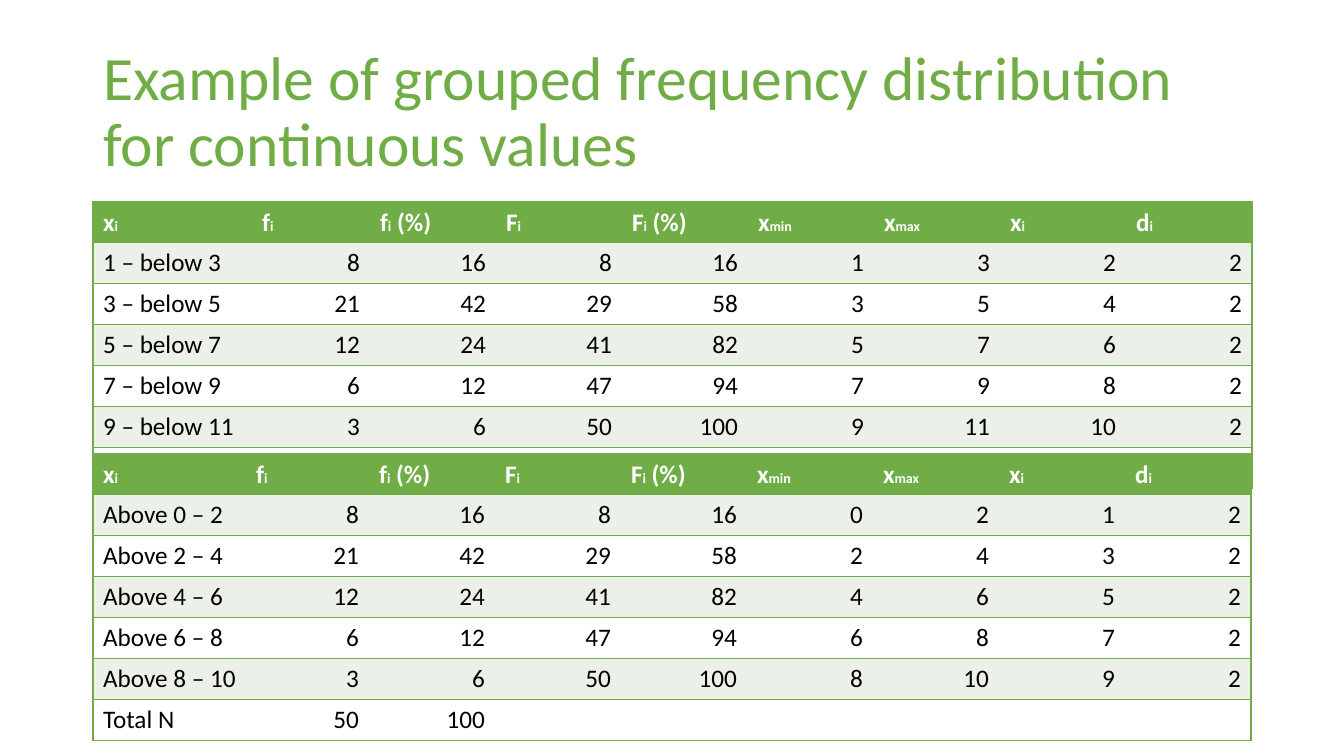
from itertools import accumulate

from lxml import etree
from pptx import Presentation
from pptx import util as u
from pptx.dml.color import RGBColor
from pptx.enum import text
from pptx.oxml.ns import qn

PX = 914400 / 100.8
GREEN, PALE, WHITE, BLACK = "70AD47", "EBF1E9", "FFFFFF", "000000"


def px(length):
    return u.Emu(round(length * PX))


def paint(color, hex_value):
    color.rgb = RGBColor.from_string(hex_value)


deck = Presentation()
deck.slide_width, deck.slide_height = px(1344), px(756)
slide = deck.slides.add_slide(deck.slide_layouts[5])

# Title
title = slide.shapes.title
title.left, title.top, title.width, title.height = px(93), px(40), px(1159), px(147)
title.text_frame.text = "Example of grouped frequency distribution for continuous values"
title.text_frame.auto_size = text.MSO_AUTO_SIZE.NONE
title.text_frame.vertical_anchor = text.MSO_ANCHOR.MIDDLE
heading = title.text_frame.paragraphs[0]
heading.alignment = text.PP_ALIGN.LEFT
heading.line_spacing = 0.9
heading.font.name, heading.font.size = "Calibri", u.Pt(44)
paint(heading.font.color, GREEN)

# Both tables share their frequencies; only the class limits differ
headers = [("x", "i", ""), ("f", "i", ""), ("f", "i", " (%)"), ("F", "i", ""),
           ("F", "i", " (%)"), ("x", "min", ""), ("x", "max", ""),
           ("x", "i", ""), ("d", "i", "")]
frequencies = [8, 21, 12, 6, 3]
total = sum(frequencies)
class_width = 2
table_height = 286
blank = [""] * len(headers)
totals = ["Total N", total, 100] + blank[3:]

# Label pattern, first lower limit, top, widths of the first two columns, last row
# The lower table overlaps the last row of the upper one, which stays blank
distributions = [("{} – below {}", 1, 202, [159, 118], blank),
                 ("Above {} – {}", 0, 454, [153, 123], totals)]

for label, first_limit, top, lead_widths, last_row in distributions:
    rows = [headers]
    for k, (count, running) in enumerate(zip(frequencies, accumulate(frequencies))):
        low = first_limit + k * class_width
        high = low + class_width
        rows.append([label.format(low, high), count, count * 100 // total,
                     running, running * 100 // total, low, high,
                     (low + high) // 2, class_width])
    rows.append(last_row)

    widths = lead_widths + [126] * 7
    grid = slide.shapes.add_table(len(rows), len(widths), px(93), px(top),
                                  px(sum(widths)), px(table_height)).table
    grid.horz_banding = False
    for column, width in zip(grid.columns, widths):
        column.width = px(width)

    for r, values in enumerate(rows):
        grid.rows[r].height = px(table_height / len(rows))
        for c, value in enumerate(values):
            cell = grid.cell(r, c)

            # Green rules between rows and around the table, none between columns
            ruled = {"L": c == 0, "R": c == len(widths) - 1, "T": True, "B": True}
            for side, visible in ruled.items():
                edge = etree.SubElement(cell._tc.get_or_add_tcPr(), qn(f"a:ln{side}"),
                                        w=str(u.Pt(1)))
                if visible:
                    ink = etree.SubElement(edge, qn("a:solidFill"))
                    etree.SubElement(ink, qn("a:srgbClr"), val=GREEN)
                else:
                    etree.SubElement(edge, qn("a:noFill"))
            cell.fill.solid()
            paint(cell.fill.fore_color, GREEN if r == 0 else PALE if r % 2 else WHITE)

            # Symbols with small indices in the header, plain values below
            entry = cell.text_frame.paragraphs[0]
            if r == 0:
                for part, size in zip(value, (18, 10, 18)):
                    if part:
                        symbol = entry.add_run()
                        symbol.text = part
                        symbol.font.name, symbol.font.size = "Calibri", u.Pt(size)
                        symbol.font.bold = True
                        paint(symbol.font.color, WHITE)
            elif value != "":
                entry.text = str(value)
                entry.alignment = text.PP_ALIGN.RIGHT if c else text.PP_ALIGN.LEFT
                entry.font.name, entry.font.size = "Calibri", u.Pt(18)
                paint(entry.font.color, BLACK)

deck.save("out.pptx")
